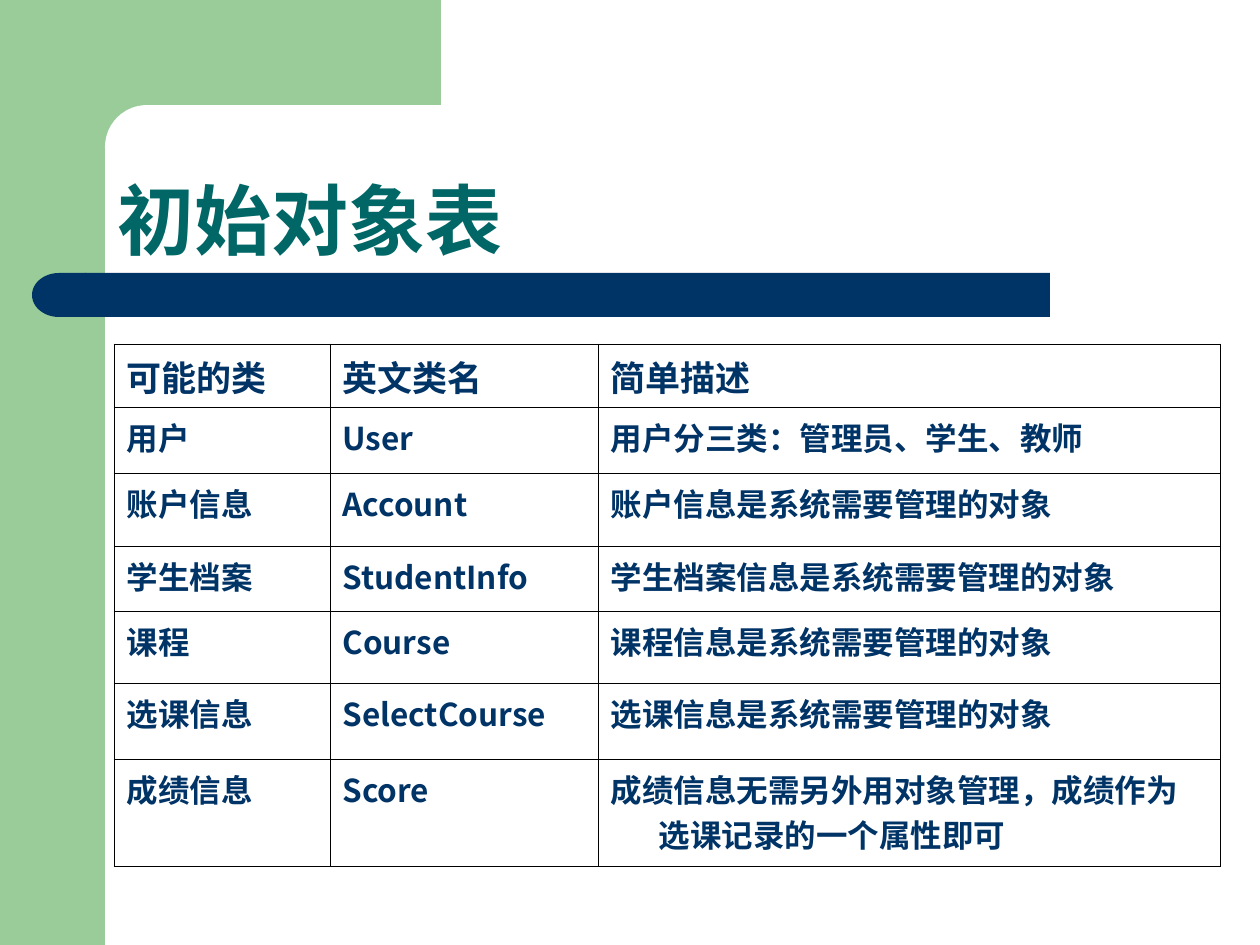
from lxml.etree import SubElement
from pptx import Presentation
from pptx.dml.color import RGBColor
from pptx.enum.shapes import MSO_SHAPE as Preset
from pptx.enum.text import MSO_ANCHOR as Anchor, MSO_AUTO_SIZE as AutoSize, PP_ALIGN as Align
from pptx.oxml.ns import qn
from pptx.util import Emu, Pt

GREEN = RGBColor(0x99, 0xCC, 0x99)
WHITE = RGBColor(0xFF, 0xFF, 0xFF)
NAVY = RGBColor(0x00, 0x33, 0x66)
TEAL = RGBColor(0x00, 0x66, 0x66)
BORDER_COLOR = "000000"
BORDER_WIDTH = Pt(0.45)
TITLE_FONT = "Noto Sans CJK JP"
TABLE_FONT = "Noto Sans CJK SC"
PX_PER_INCH = 126
TITLE_ONLY = 5

COLUMN_WIDTHS = (216, 268, 622)
ROW_HEIGHTS = (63, 66, 73, 65, 72, 76, 107)
CLASS_ROWS = (
    ("可能的类", "英文类名", "简单描述"),
    ("用户", "User", "用户分三类：管理员、学生、教师"),
    ("账户信息", "Account", "账户信息是系统需要管理的对象"),
    ("学生档案", "StudentInfo", "学生档案信息是系统需要管理的对象"),
    ("课程", "Course", "课程信息是系统需要管理的对象"),
    ("选课信息", "SelectCourse", "选课信息是系统需要管理的对象"),
    ("成绩信息", "Score", "成绩信息无需另外用对象管理，成绩作为选课记录的一个属性即可"),
)


def px(length):
    return Emu(round(length * 914400 / PX_PER_INCH))


def apply_format(target, values):
    for name, value in values.items():
        setattr(target, name, value)


def write_text(para, text, size, font_name, color):
    span = para.add_run()
    span.text = text
    apply_format(span.font, {"size": Pt(size), "bold": True, "name": font_name})
    span.font.color.rgb = color
    SubElement(span.font._element, qn("a:ea"), typeface=font_name)


def add_block(page, preset, box, color, corner=None):
    block = page.shapes.add_shape(preset, *map(px, box))
    block.shadow.inherit = False
    block.fill.solid()
    block.fill.fore_color.rgb = color
    block.line.fill.background()
    if corner is not None:
        block.adjustments[0] = corner
    return block


def add_corner_frame(page, box):
    left, top, width, height = box
    side = 105
    add_block(page, Preset.RECTANGLE, (left, top, side, height), GREEN)
    add_block(page, Preset.RECTANGLE, (left + 95, top, width - 95, 147), GREEN)
    add_block(page, Preset.ROUNDED_RECTANGLE, (left + side, top + side, 703, 84), WHITE, 0.5)


def add_title_bar(page, box):
    left, top, width, height = box
    cap = 54
    add_block(page, Preset.ROUNDED_RECTANGLE,
              (left + cap - 1, top, width - cap + 1, height), NAVY, 0)
    end = add_block(page, Preset.FLOWCHART_DELAY, (left, top, cap, height), NAVY)
    end.element.spPr.find(qn("a:xfrm")).set("flipH", "1")


def place_title(page, box, text):
    title = page.shapes.title
    title.element.getparent().append(title.element)
    apply_format(title, dict(zip(("left", "top", "width", "height"), map(px, box))))
    apply_format(title.text_frame, {
        "word_wrap": True, "auto_size": AutoSize.NONE, "vertical_anchor": Anchor.BOTTOM})
    para = title.text_frame.paragraphs[0]
    apply_format(para, {"alignment": Align.LEFT, "line_spacing": 0.9})
    write_text(para, text, 44, TITLE_FONT, TEAL)


def format_cell(cell, text, size):
    properties = cell._tc.get_or_add_tcPr()
    for side in ("lnL", "lnR", "lnT", "lnB"):
        border = SubElement(properties, qn(f"a:{side}"), w=str(BORDER_WIDTH))
        fill = SubElement(border, qn("a:solidFill"))
        SubElement(fill, qn("a:srgbClr"), val=BORDER_COLOR)
    cell.fill.background()
    para = cell.text_frame.paragraphs[0]
    indent = px(48)
    paragraph_properties = para._p.get_or_add_pPr()
    paragraph_properties.set("marL", str(indent))
    paragraph_properties.set("indent", str(-indent))
    write_text(para, text, size, TABLE_FONT, NAVY)


def add_class_table(page, left, top):
    box = (left, top, sum(COLUMN_WIDTHS), sum(ROW_HEIGHTS))
    table = page.shapes.add_table(len(CLASS_ROWS), len(COLUMN_WIDTHS), *map(px, box)).table
    apply_format(table, {"first_row": False, "horz_banding": False})
    for column, width in zip(table.columns, COLUMN_WIDTHS):
        column.width = px(width)
    for index, (row, height, texts) in enumerate(zip(table.rows, ROW_HEIGHTS, CLASS_ROWS)):
        row.height = px(height)
        for cell, text in zip(row.cells, texts):
            format_cell(cell, text, 18 if index else 20)


def main():
    deck = Presentation()
    apply_format(deck, {"slide_width": px(1260), "slide_height": px(945)})
    page = deck.slides.add_slide(deck.slide_layouts[TITLE_ONLY])
    add_corner_frame(page, (0, 0, 441, 945))
    add_title_bar(page, (32, 273, 1018, 44))
    place_title(page, (105, 175, 1071, 97), "初始对象表")
    add_class_table(page, 114, 344)
    deck.save("out.pptx")


if __name__ == "__main__":
    main()
